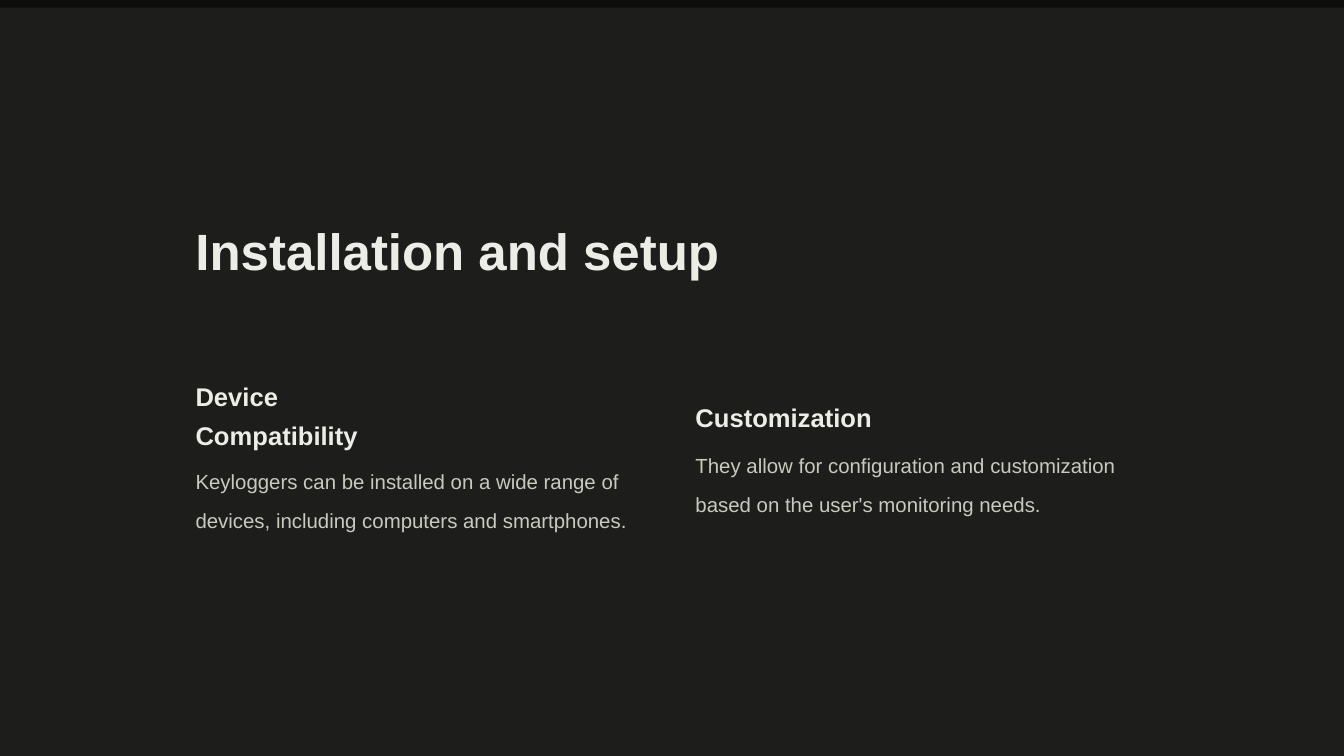
import pptx
import pptx.dml.color
import pptx.enum.shapes
import pptx.enum.text
import pptx.util

Pt = pptx.util.Pt
RGBColor = pptx.dml.color.RGBColor

EDGE = RGBColor(0x0D, 0x0D, 0x0C)
PANEL = RGBColor(0x1D, 0x1D, 0x1B)
HEADING = RGBColor(0xED, 0xED, 0xE8)
BODY = RGBColor(0xC9, 0xC9, 0xC0)

WIDTH, HEIGHT = 1152, 648
EDGE_HEIGHT = 6.5
LEFT_COLUMN, RIGHT_COLUMN = 160.5, 589
BODY_WIDTH = 402.5

# left, heading top, heading width, heading, body top, body height, body
COLUMNS = [
    (LEFT_COLUMN, 316.8, 228.5, "Device Compatibility", 386, 84,
     "Keyloggers can be installed on a wide range of devices, "
     "including computers and smartphones."),
    (RIGHT_COLUMN, 334, 219, "Customization", 372.2, 56,
     "They allow for configuration and customization "
     "based on the user's monitoring needs."),
]


class SlideBuilder:
    def __init__(self, slide, font="Arial"):
        self.slide = slide
        self.font = font

    def rectangle(self, left, top, width, height, color):
        shape = self.slide.shapes.add_shape(
            pptx.enum.shapes.MSO_SHAPE.RECTANGLE,
            Pt(left), Pt(top), Pt(width), Pt(height))
        shape.shadow.inherit = False
        shape.fill.solid()
        shape.fill.fore_color.rgb = color
        shape.line.fill.background()

    def text(self, text, left, top, width, height, *, size,
             color=HEADING, bold=True, spacing=1.25):
        box = self.slide.shapes.add_textbox(
            Pt(left), Pt(top), Pt(width), Pt(height))
        frame = box.text_frame
        frame.word_wrap = True
        frame.vertical_anchor = pptx.enum.text.MSO_ANCHOR.TOP
        paragraph = frame.paragraphs[0]
        paragraph.line_spacing = spacing
        run = paragraph.add_run()
        run.text = text
        run.font.name = self.font
        run.font.size = Pt(size)
        run.font.bold = bold
        run.font.color.rgb = color


def main():
    presentation = pptx.Presentation()
    presentation.slide_width = Pt(WIDTH)
    presentation.slide_height = Pt(HEIGHT)
    builder = SlideBuilder(
        presentation.slides.add_slide(presentation.slide_layouts[6]))

    builder.rectangle(0, 0, WIDTH, HEIGHT, EDGE)
    builder.rectangle(0, EDGE_HEIGHT, WIDTH, HEIGHT - EDGE_HEIGHT, PANEL)
    builder.text("Installation and setup", LEFT_COLUMN, 171.4, 484.5, 54.7,
                 size=43.7)
    for (left, heading_top, heading_width, heading,
         body_top, body_height, body) in COLUMNS:
        builder.text(heading, left, heading_top, heading_width, 27.4, size=21.9)
        builder.text(body, left, body_top, BODY_WIDTH, body_height,
                     size=17.5, color=BODY, bold=False, spacing=1.6)

    presentation.save("out.pptx")


if __name__ == "__main__":
    main()
